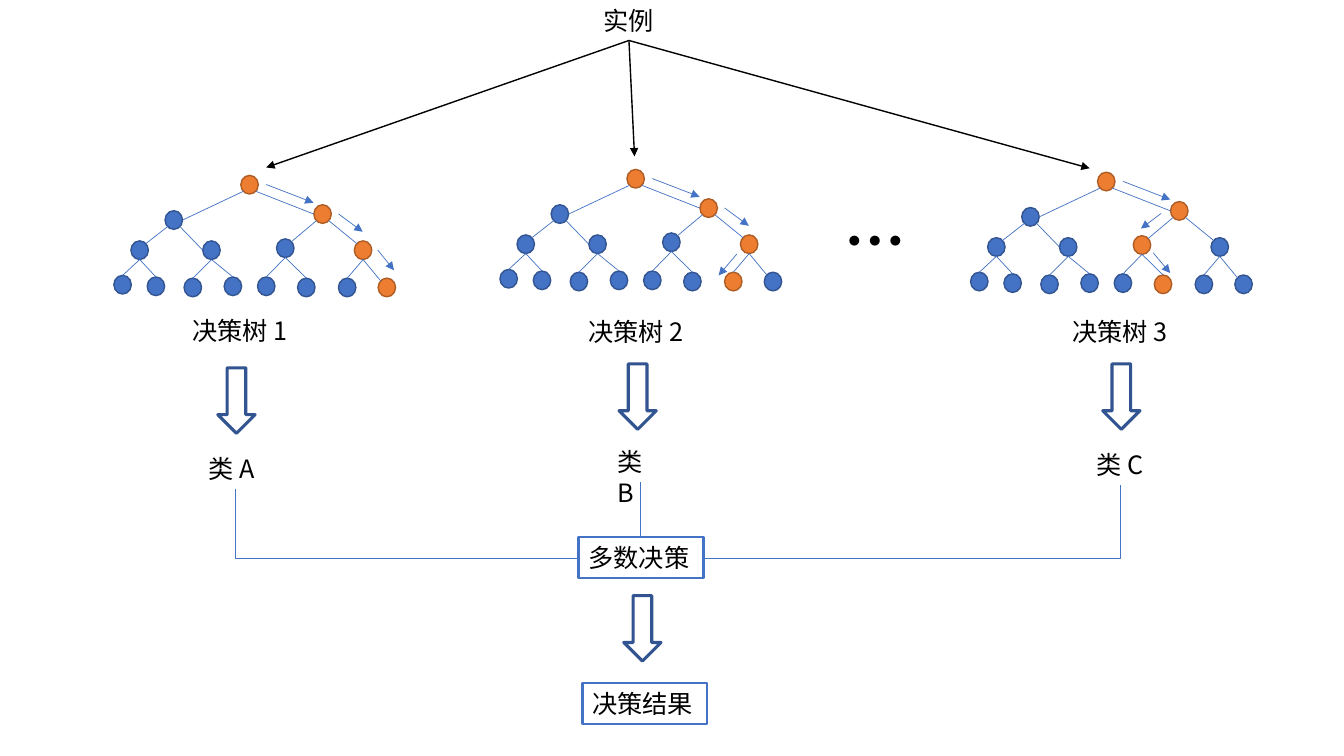
"""Build a slide that explains majority voting in a random forest."""
from lxml.etree import SubElement
from pptx import Presentation
from pptx.dml.color import RGBColor
from pptx.enum.shapes import MSO_CONNECTOR, MSO_SHAPE
from pptx.enum.text import MSO_ANCHOR, MSO_AUTO_SIZE, PP_ALIGN
from pptx.oxml.ns import qn
from pptx.util import Cm, Pt

FONT = "Noto Sans CJK SC"
COLORS = {
    "blue": "4472C4", "navy": "325491", "orange": "ED7D31",
    "rust": "AF5C24", "black": "000000",
}

INSTANCE = ("实例", 14.96, 0, 1.83)
INSTANCE_TIP = (15.85, 1.02)
ELLIPSIS = ("…", 21.03, 4.98, 1.93)
LABEL_H = 1.02
ARROW_W, ARROW_H = 0.94, 1.65

TREES = [
    {"root": (6.07, 4.42), "visited": (1, 3, 7, 15), "entry": (6.71, 4.22),
     "label": ("决策树 1", 4.6, 7.82, 4.11), "arrow": (5.49, 9.27),
     "vote": ("类 A", 5, 11.3, 1.91)},
    {"root": (15.8, 4.27), "visited": (1, 3, 7, 14), "entry": (15.99, 3.94),
     "label": ("决策树 2", 14.58, 7.85, 4.11), "arrow": (15.6, 9.17),
     "vote": ("类 B", 15.32, 11.13, 1.68)},
    {"root": (27.66, 4.34), "visited": (1, 3, 6, 13), "entry": (27.46, 4.24),
     "label": ("决策树 3", 26.77, 7.85, 4.11), "arrow": (27.79, 9.17),
     "vote": ("类 C", 27.38, 11.2, 1.73)},
]

NODE_W, NODE_H = 0.44, 0.47
NODES = {
    1: (0, 0), 2: (-1.91, 0.89), 3: (1.84, 0.74),
    4: (-2.77, 1.65), 5: (-0.96, 1.65), 6: (0.9, 1.6), 7: (2.86, 1.65),
    8: (-3.2, 2.52), 9: (-2.36, 2.56), 10: (-1.43, 2.59), 11: (-0.42, 2.56),
    12: (0.42, 2.56), 13: (1.43, 2.59), 14: (2.46, 2.59), 15: (3.46, 2.59),
}
SITES = {
    "top": (0.5, 0), "bottom": (0.5, 1), "left": (0, 0.5), "right": (1, 0.5),
    "top left": (0.15, 0.15), "top right": (0.85, 0.15),
    "bottom left": (0.15, 0.85), "bottom right": (0.85, 0.85),
}
EDGES = {
    2: ("bottom left", "right"), 3: ("bottom right", "left"),
    4: ("bottom left", "top right"), 5: ("bottom right", "left"),
    6: ("bottom left", "top right"), 7: ("bottom right", "top left"),
    **{leaf: ("bottom", "top") for leaf in range(8, 15)},
    15: ("bottom", "top left"),
}
HOPS = {
    3: ((0.64, 0.23), (1.83, 0.69)),
    6: ((1.6, 1.04), (1.09, 1.42)),
    7: ((2.46, 0.97), (3.07, 1.42)),
    13: ((1.4, 2.03), (1.83, 2.54)),
    14: ((2.77, 2.13), (2.31, 2.67)),
    15: ((3.45, 1.88), (3.86, 2.39)),
}

BOXES = [("多数决策", 14.58, 13.54, 3.15), ("决策结果", 14.68, 17.22, 3.15)]
RESULT_ARROW = (15.72, 15.01)
VOTE_LINES = [
    ((16.15, 13.54), (16.15, 12.14), False),
    ((17.73, 14.07), (28.24, 12.22), True),
    ((14.58, 14.07), (5.94, 12.32), True),
]


def rgb(name):
    """Return the named colour."""
    return RGBColor.from_string(COLORS[name])


def shift(origin, offset):
    """Move a point by an offset."""
    return origin[0] + offset[0], origin[1] + offset[1]


def add_preset(slide, kind, x, y, w, h, line, weight, fill=None):
    """Add an outlined preset shape."""
    sp = slide.shapes.add_shape(kind, Cm(x), Cm(y), Cm(w), Cm(h))
    sp.shadow.inherit = False
    if fill:
        sp.fill.solid()
        sp.fill.fore_color.rgb = rgb(fill)
    else:
        sp.fill.background()
    sp.line.color.rgb = rgb(line)
    sp.line.width = Pt(weight)
    return sp


def write(sp, text, size=18, bold=None):
    """Put left-aligned black text into a shape."""
    tf = sp.text_frame
    tf.word_wrap = True
    tf.auto_size = MSO_AUTO_SIZE.SHAPE_TO_FIT_TEXT
    tf.vertical_anchor = MSO_ANCHOR.TOP
    p = tf.paragraphs[0]
    p.alignment = PP_ALIGN.LEFT
    r = p.add_run()
    r.text = text
    r.font.size = Pt(size)
    r.font.bold = bold
    r.font.color.rgb = rgb("black")
    r.font.name = FONT
    SubElement(r.font._element, qn("a:ea"), typeface=FONT)


def add_label(slide, text, x, y, w, h=LABEL_H, **style):
    """Add a text box."""
    write(slide.shapes.add_textbox(Cm(x), Cm(y), Cm(w), Cm(h)), text, **style)


def add_line(slide, start, end, color="blue", weight=0.5, arrow=False, bent=False):
    """Add a straight or single-bend connector."""
    kind = MSO_CONNECTOR.ELBOW if bent else MSO_CONNECTOR.STRAIGHT
    cx = slide.shapes.add_connector(kind, *(Cm(v) for v in (*start, *end)))
    cx.line.color.rgb = rgb(color)
    cx.line.width = Pt(weight)
    pr = cx._element.spPr
    if bent:
        pr.find(qn("a:prstGeom")).set("prst", "bentConnector2")
    if arrow:
        SubElement(pr.find(qn("a:ln")), qn("a:tailEnd"), type="triangle")
    SubElement(pr, qn("a:effectLst"))


def add_down_arrow(slide, pos):
    """Add a hollow block arrow."""
    add_preset(slide, MSO_SHAPE.DOWN_ARROW, *pos, ARROW_W, ARROW_H, "navy", 2.25)


def add_tree(slide, root, visited):
    """Draw a binary tree with its visited path."""
    def site(node, name):
        fx, fy = SITES[name]
        return shift(shift(root, NODES[node]), (fx * NODE_W, fy * NODE_H))

    for node, offset in NODES.items():
        fill, line = ("orange", "rust") if node in visited else ("blue", "navy")
        add_preset(slide, MSO_SHAPE.OVAL, *shift(root, offset), NODE_W, NODE_H,
                   line, 1, fill)
    for child, (above, below) in EDGES.items():
        add_line(slide, site(child // 2, above), site(child, below))
    for node in visited[1:]:
        start, end = HOPS[node]
        add_line(slide, shift(root, start), shift(root, end), arrow=True)


def main():
    """Compose and save the slide."""
    prs = Presentation()
    prs.slide_width, prs.slide_height = Cm(33.87), Cm(19.05)
    slide = prs.slides.add_slide(prs.slide_layouts[6])
    add_label(slide, *INSTANCE)
    add_label(slide, *ELLIPSIS, h=2.13, size=44, bold=True)
    for tree in TREES:
        add_tree(slide, tree["root"], tree["visited"])
        add_line(slide, INSTANCE_TIP, tree["entry"], "black", 1, arrow=True)
        add_label(slide, *tree["label"])
        add_down_arrow(slide, tree["arrow"])
        add_label(slide, *tree["vote"])
    for start, end, bent in VOTE_LINES:
        add_line(slide, start, end, bent=bent)
    for text, x, y, w in BOXES:
        write(add_preset(slide, MSO_SHAPE.RECTANGLE, x, y, w, LABEL_H, "blue", 1.5), text)
    add_down_arrow(slide, RESULT_ARROW)
    prs.save("out.pptx")


if __name__ == "__main__":
    main()
